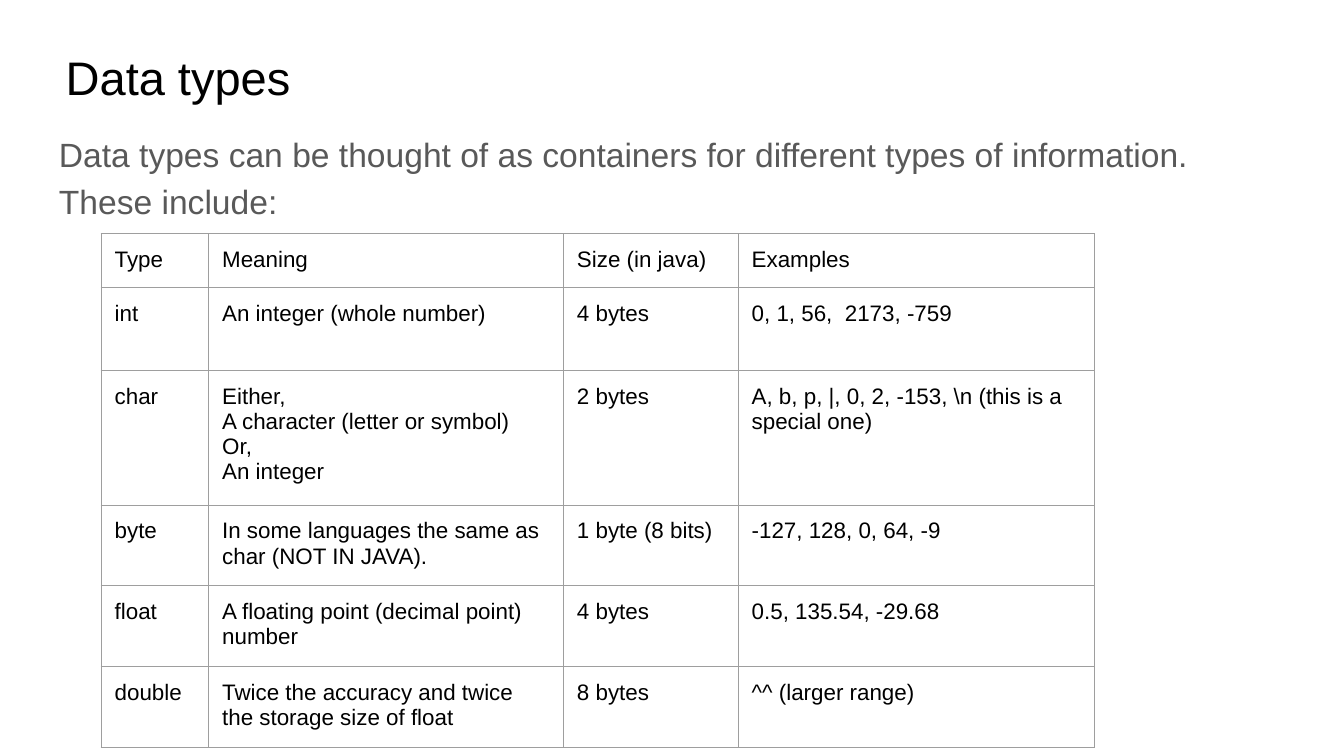
from typing import NamedTuple

from lxml import etree
from pptx import Presentation
from pptx.dml.color import RGBColor
from pptx.enum.text import MSO_ANCHOR
from pptx.oxml.ns import qn
from pptx.util import Inches, Pt

TOP, MIDDLE = MSO_ANCHOR.TOP, MSO_ANCHOR.MIDDLE
COLORS = {"ink": "000000", "body": "595959", "border": "9E9E9E"}
FONT = "Arial"
SLIDE_W = Inches(10)
SLIDE_H = SLIDE_W * 9 // 16
INSET = Inches(0.1)


class TextBlock(NamedTuple):
    text: str
    x: float  # shares of the slide's width and height
    y: float
    w: float
    h: float
    size: float
    color: str
    anchor: MSO_ANCHOR
    spacing: float


class DataType(NamedTuple):
    name: str
    meaning: str
    size: str
    examples: str


BLOCKS = [
    TextBlock("Data types", 0.039, 0.046, 0.932, 0.112, 25.2, "ink", MIDDLE, 1.0),
    TextBlock("Data types can be thought of as containers for different types "
              "of information. These include:",
              0.034, 0.152, 0.932, 0.736, 18, "body", TOP, 1.15),
]

ROWS = [
    DataType("Type", "Meaning", "Size (in java)", "Examples"),
    DataType("int", "An integer (whole number)", "4 bytes", "0, 1, 56,  2173, -759"),
    DataType("char", "Either,\nA character (letter or symbol)\nOr,\nAn integer",
             "2 bytes", r"A, b, p, |, 0, 2, -153, \n (this is a special one)"),
    DataType("byte", "In some languages the same as char (NOT IN JAVA).",
             "1 byte (8 bits)", "-127, 128, 0, 64, -9"),
    DataType("float", "A floating point (decimal point) number",
             "4 bytes", "0.5, 135.54, -29.68"),
    DataType("double", "Twice the accuracy and twice the storage size of float",
             "8 bytes", "^^ (larger range)"),
]
TABLE_X, TABLE_Y = 0.0753, 0.309
COL_WIDTHS = [0.8, 2.64, 1.3, 2.65]
ROW_HEIGHTS = [0.4, 0.62, 1.0] + [0.4] * 3  # the last three grow with their text


def add_run(p, text: str, size: float, color: str) -> None:
    r = p.add_run()
    r.text = text
    r.font.name = FONT
    r.font.size = Pt(size)
    r.font.color.rgb = RGBColor.from_string(COLORS[color])


def set_insets(box) -> None:
    box.margin_left = box.margin_right = INSET
    box.margin_top = box.margin_bottom = INSET


def draw_text(s, block: TextBlock) -> None:
    sp = s.shapes.add_textbox(int(block.x * SLIDE_W), int(block.y * SLIDE_H),
                              int(block.w * SLIDE_W), int(block.h * SLIDE_H))
    tf = sp.text_frame
    tf.word_wrap = True
    tf.vertical_anchor = block.anchor
    set_insets(tf)
    p = tf.paragraphs[0]
    p.line_spacing = block.spacing
    add_run(p, block.text, block.size, block.color)


def set_borders(cell) -> None:
    tc_pr = cell._tc.get_or_add_tcPr()
    for i, side in enumerate(("lnL", "lnR", "lnT", "lnB")):
        ln = etree.Element(qn(f"a:{side}"), w=str(Pt(0.75)))
        fill = etree.SubElement(ln, qn("a:solidFill"))
        etree.SubElement(fill, qn("a:srgbClr"), val=COLORS["border"])
        tc_pr.insert(i, ln)


def draw_cell(cell, text: str) -> None:
    cell.fill.background()
    cell.vertical_anchor = TOP
    set_insets(cell)
    set_borders(cell)
    tf = cell.text_frame
    for i, line in enumerate(text.split("\n")):
        p = tf.add_paragraph() if i else tf.paragraphs[0]
        add_run(p, line, 12, "ink")


def draw_table(s, rows: list[DataType]) -> None:
    table = s.shapes.add_table(
        len(rows), len(COL_WIDTHS), int(TABLE_X * SLIDE_W), int(TABLE_Y * SLIDE_H),
        Inches(sum(COL_WIDTHS)), Inches(sum(ROW_HEIGHTS))).table
    table.first_row = table.horz_banding = False
    for col, width in zip(table.columns, COL_WIDTHS):
        col.width = Inches(width)
    for row, height, data in zip(table.rows, ROW_HEIGHTS, rows):
        row.height = Inches(height)
        for cell, text in zip(row.cells, data):
            draw_cell(cell, text)


def main() -> None:
    prs = Presentation()
    prs.slide_width, prs.slide_height = SLIDE_W, SLIDE_H
    s = prs.slides.add_slide(prs.slide_layouts[6])

    # Title and introduction
    for block in BLOCKS:
        draw_text(s, block)

    # Table of data types
    draw_table(s, ROWS)

    prs.save("out.pptx")


if __name__ == "__main__":
    main()
